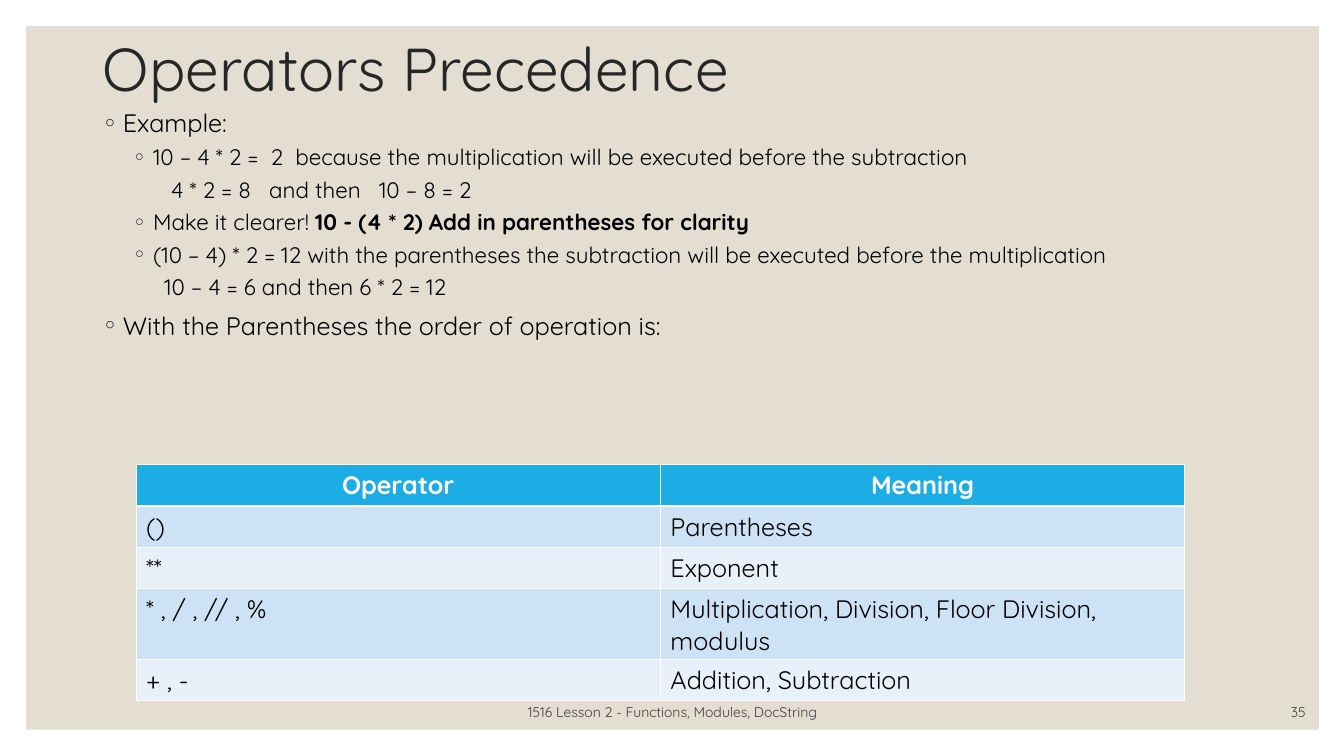
import pptx
import pptx.util
import pptx.dml.color
import pptx.enum.shapes
import pptx.enum.text
import pptx.oxml
import pptx.oxml.ns
import lxml.etree

Inches = pptx.util.Inches
Pt = pptx.util.Pt
ALIGN = pptx.enum.text.PP_ALIGN
ANCHOR = pptx.enum.text.MSO_ANCHOR
FONT = "Quicksand"
COLORS = {
    "panel": "E3DED1", "title": "262626", "text": "000000", "foot": "404040",
    "white": "FFFFFF", "head": "1CADE4", "odd": "CDE3F5", "even": "E8F1FA",
}
LEVELS = [
    {"size": 18, "space": 7.2, "left": 0.2},
    {"size": 16, "space": 4, "left": 0.5},
]
POINTS = [
    (0, None, [("Example:", False)]),
    (1, None, [("10 – 4 * 2 =  2  because the multiplication will be executed "
                "before the subtraction", False)]),
    (1, 0.68, [("4 * 2 = 8   and then   10 – 8 = 2", False)]),
    (1, None, [("Make it clearer! ", False),
               ("10 - (4 * 2) Add in parentheses for clarity", True)]),
    (1, None, [("(10 – 4) * 2 = 12 with the parentheses the subtraction will be "
                "executed before the multiplication", False)]),
    (1, 0.61, [("10 – 4 = 6 and then 6 * 2 = 12", False)]),
    (0, None, [("With the Parentheses the order of operation is:", False)]),
]
ROWS = [
    ("Operator", "Meaning"),
    ("()", "Parentheses"),
    ("**", "Exponent"),
    ("* , / , // , %", "Multiplication, Division, Floor Division, modulus"),
    ("+ , -", "Addition, Subtraction"),
]


def rgb(name):
    return pptx.dml.color.RGBColor.from_string(COLORS[name])


def apply(item, values):
    for key, value in values.items():
        setattr(item, key, value)


def add_run(par, text, size, color, bold=False):
    run = par.add_run()
    run.text = text
    apply(run.font, {"name": FONT, "size": Pt(size), "bold": bold})
    run.font.color.rgb = rgb(color)


def add_box(slide, box, anchor):
    frame = slide.shapes.add_textbox(*map(Inches, box)).text_frame
    apply(frame, {"word_wrap": True, "vertical_anchor": anchor})
    return frame


def add_panel(slide, box):
    kind = pptx.enum.shapes.MSO_SHAPE.RECTANGLE
    panel = slide.shapes.add_shape(kind, *map(Inches, box))
    panel.shadow.inherit = False
    panel.fill.solid()
    panel.fill.fore_color.rgb = rgb("panel")
    panel.line.fill.background()
    slide.shapes.title.element.addprevious(panel.element)


def add_title(slide, box, text):
    title = slide.shapes.title
    apply(title, dict(zip(("left", "top", "width", "height"), map(Inches, box))))
    frame = title.text_frame
    apply(frame, {"word_wrap": True, "vertical_anchor": ANCHOR.MIDDLE,
                  "auto_size": pptx.enum.text.MSO_AUTO_SIZE.NONE})
    par = frame.paragraphs[0]
    apply(par, {"alignment": ALIGN.LEFT, "line_spacing": 0.9})
    add_run(par, text, 43.2, "title")


def set_indent(par, left, hang):
    props = par._p.get_or_add_pPr()
    props.set("marL", str(Inches(left)))
    props.set("indent", str(-Inches(hang)))
    if hang:
        tag = pptx.oxml.ns.qn
        color = lxml.etree.SubElement(props, tag("a:buClr"))
        lxml.etree.SubElement(color, tag("a:srgbClr"), val=COLORS["title"])
        lxml.etree.SubElement(props, tag("a:buFont"), typeface=FONT)
        lxml.etree.SubElement(props, tag("a:buChar"), char="◦")


def add_points(slide, box):
    frame = add_box(slide, box, ANCHOR.TOP)
    for num, (level, left, runs) in enumerate(POINTS):
        par = frame.add_paragraph() if num else frame.paragraphs[0]
        style = LEVELS[level]
        apply(par, {"level": level, "space_before": Pt(style["space"])})
        set_indent(par, left or style["left"], 0 if left else 0.2)
        for text, bold in runs:
            add_run(par, text, style["size"], "text", bold)


def add_grid(slide, box):
    shape = slide.shapes.add_table(len(ROWS), len(ROWS[0]), *map(Inches, box))
    for row, texts in enumerate(ROWS):
        head = row == 0
        fill = "head" if head else ("even", "odd")[row % 2]
        for col, text in enumerate(texts):
            cell = shape.table.cell(row, col)
            cell.fill.solid()
            cell.fill.fore_color.rgb = rgb(fill)
            par = cell.text_frame.paragraphs[0]
            par.alignment = ALIGN.CENTER if head else ALIGN.LEFT
            add_run(par, text, 18, "white" if head else "text", head)


def add_foot(slide, box, text, align):
    par = add_box(slide, box, ANCHOR.BOTTOM).paragraphs[0]
    par.alignment = align
    add_run(par, text, 10, "foot")


def main():
    deck = pptx.Presentation()
    apply(deck, {"slide_width": Inches(13.33), "slide_height": Inches(7.5)})
    slide = deck.slides.add_slide(deck.slide_layouts.get_by_name("Title Only"))
    add_panel(slide, (0.26, 0.26, 12.82, 6.98))
    add_title(slide, (0.92, 0.4, 11.5, 0.62), "Operators Precedence")
    add_points(slide, (0.92, 1.02, 11.5, 5.73))
    add_foot(slide, (3.82, 6.9, 5.7, 0.3),
             "1516 Lesson 2 - Functions, Modules, DocString", ALIGN.CENTER)
    add_foot(slide, (11.45, 6.9, 1.6, 0.3), "35", ALIGN.RIGHT)
    add_grid(slide, (1.35, 4.61, 10.4, 2.05))
    deck.save("out.pptx")


if __name__ == "__main__":
    main()
